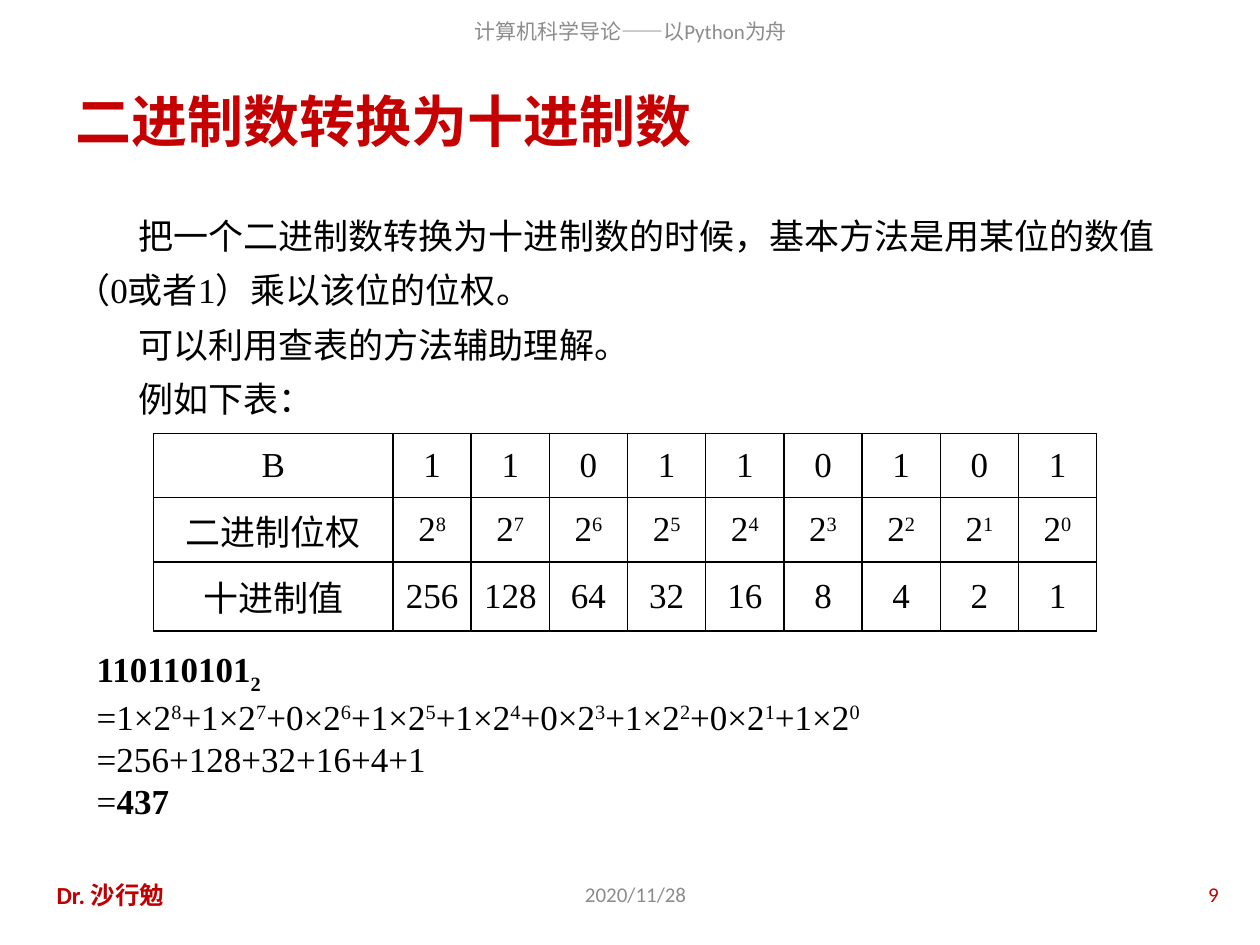
from lxml import etree
from pptx import Presentation
from pptx.dml.color import RGBColor
from pptx.enum import text as t
from pptx.oxml import ns
from pptx.util import Pt

HUES = {"ink": "000000", "grey": "8C8C8C", "red": "C00000", "title": "C60000"}
SERIF = {"name": "Times New Roman", "size": Pt(20), "bold": False}
SMALL = {"name": "Calibri", "size": Pt(12), "bold": False}
LEFT, MID, RIGHT = t.PP_ALIGN.LEFT, t.PP_ALIGN.CENTER, t.PP_ALIGN.RIGHT
BITS = "110110101"
powers = list(range(len(BITS) - 1, -1, -1))


def write(para, parts, form, hue="ink", align=LEFT):
    """Add (text, baseline percent) parts as runs of one format."""
    para.alignment = align
    for words, base in parts:
        run = para.add_run()
        run.text = words
        for key, value in form.items():
            setattr(run.font, key, value)
        run.font.color.rgb = RGBColor.from_string(HUES[hue])
        if base:
            run._r.get_or_add_rPr().set("baseline", str(base * 1000))


def box(left, top, width, height, anchor=t.MSO_ANCHOR.MIDDLE, wrap=True):
    """Add a text box and return its text frame."""
    frame = slide.shapes.add_textbox(Pt(left), Pt(top), Pt(width), Pt(height)).text_frame
    frame.word_wrap = wrap
    frame.vertical_anchor = anchor
    return frame


deck = Presentation()
deck.slide_width, deck.slide_height = Pt(720), Pt(540)
slide = deck.slides.add_slide(deck.slide_layouts[5])

# Title
title = slide.shapes.title
title.left, title.top, title.width, title.height = Pt(36), Pt(43.2), Pt(648), Pt(50.4)
title.text_frame.vertical_anchor = t.MSO_ANCHOR.MIDDLE
write(title.text_frame.paragraphs[0], [("二进制数转换为十进制数", 0)],
      {"name": "Calibri", "size": Pt(32), "bold": True}, "title")

# Header and footer
author = {"name": "Calibri", "size": Pt(14), "bold": True}
for words, place, form, hue, align in [
    ("计算机科学导论——以Python为舟", (110.9, 3.6, 499, 28), SMALL, "grey", MID),
    ("2020/11/28", (241.2, 496.8, 244, 28.8), SMALL, "grey", MID),
    ("Dr. 沙行勉", (25.2, 496.8, 159, 28.8), author, "red", LEFT),
    ("9", (535.7, 496.8, 167.8, 28.8), SMALL, "red", RIGHT),
]:
    write(box(*place).paragraphs[0], [(words, 0)], form, hue, align)

# Explanation
body = box(36, 111.6, 648, 370.8, t.MSO_ANCHOR.TOP)
for i, words in enumerate([
    "把一个二进制数转换为十进制数的时候，基本方法是用某位的数值（0或者1）乘以该位的位权。",
    "可以利用查表的方法辅助理解。",
    "例如下表：",
]):
    para = body.add_paragraph() if i else body.paragraphs[0]
    para.line_spacing = 1.3
    para._p.get_or_add_pPr().set("indent", str(Pt(36)))
    write(para, [(words, 0)], SERIF)

# Table of place values
rows = [
    [[("B", 0)]] + [[(bit, 0)] for bit in BITS],
    [[("二进制位权", 0)]] + [[("2", 0), (str(n), 30)] for n in powers],
    [[("十进制值", 0)]] + [[(str(2 ** n), 0)] for n in powers],
]
widths = [136.8] + [44.7] * len(BITS)
heights = [36.7, 36.7, 39.6]
table = slide.shapes.add_table(len(rows), len(widths), Pt(87.8), Pt(247.7),
                               Pt(sum(widths)), Pt(sum(heights))).table
table.first_row = table.horz_banding = False
for col, width in zip(table.columns, widths):
    col.width = Pt(width)
for r, row in enumerate(rows):
    table.rows[r].height = Pt(heights[r])
    for c, parts in enumerate(row):
        cell = table.cell(r, c)
        cell.margin_left = cell.margin_right = Pt(5)
        cell.margin_top = cell.margin_bottom = 0
        cell.vertical_anchor = t.MSO_ANCHOR.MIDDLE
        cell.fill.background()
        write(cell.text_frame.paragraphs[0], parts, SERIF, align=MID)
        props = cell._tc.get_or_add_tcPr()
        for i, side in enumerate(["lnL", "lnR", "lnT", "lnB"]):
            line = etree.Element(ns.qn("a:" + side), w=str(Pt(1)))
            fill = etree.SubElement(line, ns.qn("a:solidFill"))
            etree.SubElement(fill, ns.qn("a:srgbClr"), val=HUES["ink"])
            props.insert(i, line)

# Worked sum
strong = {**SERIF, "bold": True}
terms = []
for bit, n in zip(BITS, powers):
    terms += [(("+" if terms else "=") + bit + "×2", 0), (str(n), 30)]
values = [2 ** n for bit, n in zip(BITS, powers) if bit == "1"]
steps = [
    [([(BITS, 0), ("2", -25)], strong)],
    [(terms, SERIF)],
    [([("=" + "+".join(map(str, values)), 0)], SERIF)],
    [([("=", 0)], SERIF), ([(str(sum(values)), 0)], strong)],
]
work = box(48.2, 366.5, 540.7, 104.4, t.MSO_ANCHOR.TOP, False)
work.auto_size = t.MSO_AUTO_SIZE.SHAPE_TO_FIT_TEXT
for i, step in enumerate(steps):
    para = work.add_paragraph() if i else work.paragraphs[0]
    for parts, form in step:
        write(para, parts, form)

deck.save("out.pptx")
